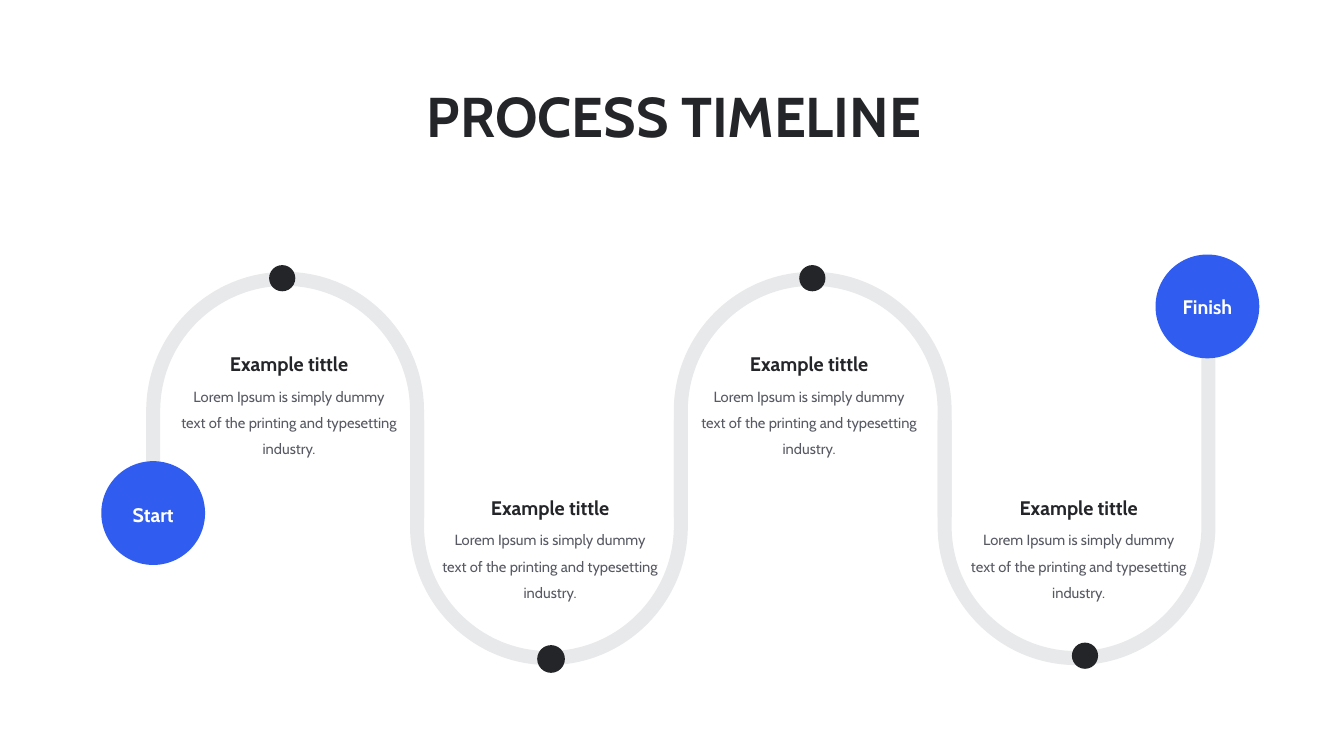
from lxml import etree
from pptx import Presentation
from pptx import util as u
from pptx.dml.color import RGBColor
from pptx.enum import shapes, text
from pptx.oxml import ns

W, H = 26.67, 15
FONT = "Cabin"
COLORS = {"ink": "242529", "body": "575963", "road": "E8E9EB",
          "blue": "305DEF", "white": "FFFFFF"}

# Road grid: five vertical lanes joined by four half circles
LEFT, LANE = 3.04, 5.235
RADIUS = LANE / 2
HANDLE = 0.55 * RADIUS  # Bezier handle of a quarter circle
ARCH_Y, BOWL_Y = 8.15, 10.44  # centres of the half circles
ARCH_END, BOWL_END = 10.26, 8.33  # where the straight parts meet
FINISH_Y = 6.31

STEP_TITLE = "Example tittle"
STEP_BODY = "Lorem Ipsum is simply dummy text of the printing and typesetting industry."
STEP_SIZE = (4.49, 2.45)
# Text centre x and text top
STEPS = [(5.735, 6.7), (10.915, 9.55), (16.055, 6.7), (21.405, 9.55)]
# Dot centre x, centre y and size
DOTS = [(5.6, 5.52, 0.52), (10.935, 13.075, 0.55),
        (16.12, 5.52, 0.52), (21.53, 13.01, 0.52)]


def color(name):
    return RGBColor.from_string(COLORS[name])


def round_corners(sp):
    """Turn segments 2-4 and 5-7 of the outline into two cubic curves."""
    segments = list(sp._element.iter(ns.qn("a:lnTo")))
    for first in (1, 4):
        curve = etree.Element(ns.qn("a:cubicBezTo"))
        segments[first].addprevious(curve)
        for segment in segments[first:first + 3]:
            curve.append(segment[0])
            segment.getparent().remove(segment)


def add_bend(s, column, up, right_end=None):
    """Draw one U-shaped piece of road between two neighbouring lanes."""
    x, right = LEFT + column * LANE, LEFT + (column + 1) * LANE
    mid = x + RADIUS
    cy, end, sign = (ARCH_Y, ARCH_END, -1) if up else (BOWL_Y, BOWL_END, 1)
    tip, pull = cy + sign * RADIUS, cy + sign * HANDLE
    points = [(x, cy),
              (x, pull), (mid - HANDLE, tip), (mid, tip),
              (mid + HANDLE, tip), (right, pull), (right, cy),
              (right, right_end or end)]
    fb = s.shapes.build_freeform(u.Inches(x), u.Inches(end))
    fb.add_line_segments([(u.Inches(px), u.Inches(py)) for px, py in points],
                         close=False)
    sp = fb.convert_to_shape()
    round_corners(sp)
    sp.shadow.inherit = False
    sp.fill.background()
    sp.line.color.rgb = color("road")
    sp.line.width = u.Pt(20)


def add_disc(s, kind, cx, cy, size, fill):
    sp = s.shapes.add_shape(kind, u.Inches(cx - size / 2), u.Inches(cy - size / 2),
                            u.Inches(size), u.Inches(size))
    sp.shadow.inherit = False
    sp.fill.solid()
    sp.fill.fore_color.rgb = color(fill)
    sp.line.fill.background()
    return sp


def add_text(s, cx, top, size, lines, anchor=text.MSO_ANCHOR.MIDDLE,
             insets=(0, 0), spacing=1.0, before=0):
    """Centred text box; each line is (text, points, colour, bold)."""
    w, h = size
    tf = s.shapes.add_textbox(u.Inches(cx - w / 2), u.Inches(top),
                              u.Inches(w), u.Inches(h)).text_frame
    tf.word_wrap = True
    tf.vertical_anchor = anchor
    tf.margin_left = tf.margin_right = u.Inches(insets[0])
    tf.margin_top = tf.margin_bottom = u.Inches(insets[1])
    for i, (words, points, name, bold) in enumerate(lines):
        p = tf.add_paragraph() if i else tf.paragraphs[0]
        p.text = words
        p.alignment = text.PP_ALIGN.CENTER
        p.line_spacing = spacing
        p.space_before = u.Pt(points * before)
        p.font.name = FONT
        p.font.size = u.Pt(points)
        p.font.bold = bold
        p.font.color.rgb = color(name)


def add_step(s, cx, top):
    add_text(s, cx, top, STEP_SIZE,
             [(STEP_TITLE, 28, "ink", True), (STEP_BODY, 21, "body", False)],
             text.MSO_ANCHOR.TOP, (0.08, 0.05), 1.5, 0.21)


def add_terminal(s, label, cx, cy, label_top):
    sp = add_disc(s, shapes.MSO_SHAPE.ROUNDED_RECTANGLE, cx, cy, 2.06, "blue")
    sp.adjustments[0] = 0.5
    add_text(s, cx, label_top, (1.75, 0.55), [(label, 28, "white", True)])


def main():
    prs = Presentation()
    prs.slide_width, prs.slide_height = u.Inches(W), u.Inches(H)
    s = prs.slides.add_slide(prs.slide_layouts[6])

    # Winding road
    for column in range(4):
        add_bend(s, column, column % 2 == 0, FINISH_Y if column == 3 else None)

    # Step texts
    for cx, top in STEPS:
        add_step(s, cx, top)

    # Both ends of the road
    add_terminal(s, "Start", 3.04, 10.18, 9.93)
    add_terminal(s, "Finish", 23.96, 6.08, 5.81)

    # Milestones
    for cx, cy, size in DOTS:
        add_disc(s, shapes.MSO_SHAPE.OVAL, cx, cy, size, "ink")

    # Heading
    add_text(s, W / 2 + 0.04, 1.59, (22.29, 1.54),
             [("PROCESS TIMELINE", 80, "ink", True)], spacing=0.9)

    prs.save("out.pptx")


if __name__ == "__main__":
    main()
